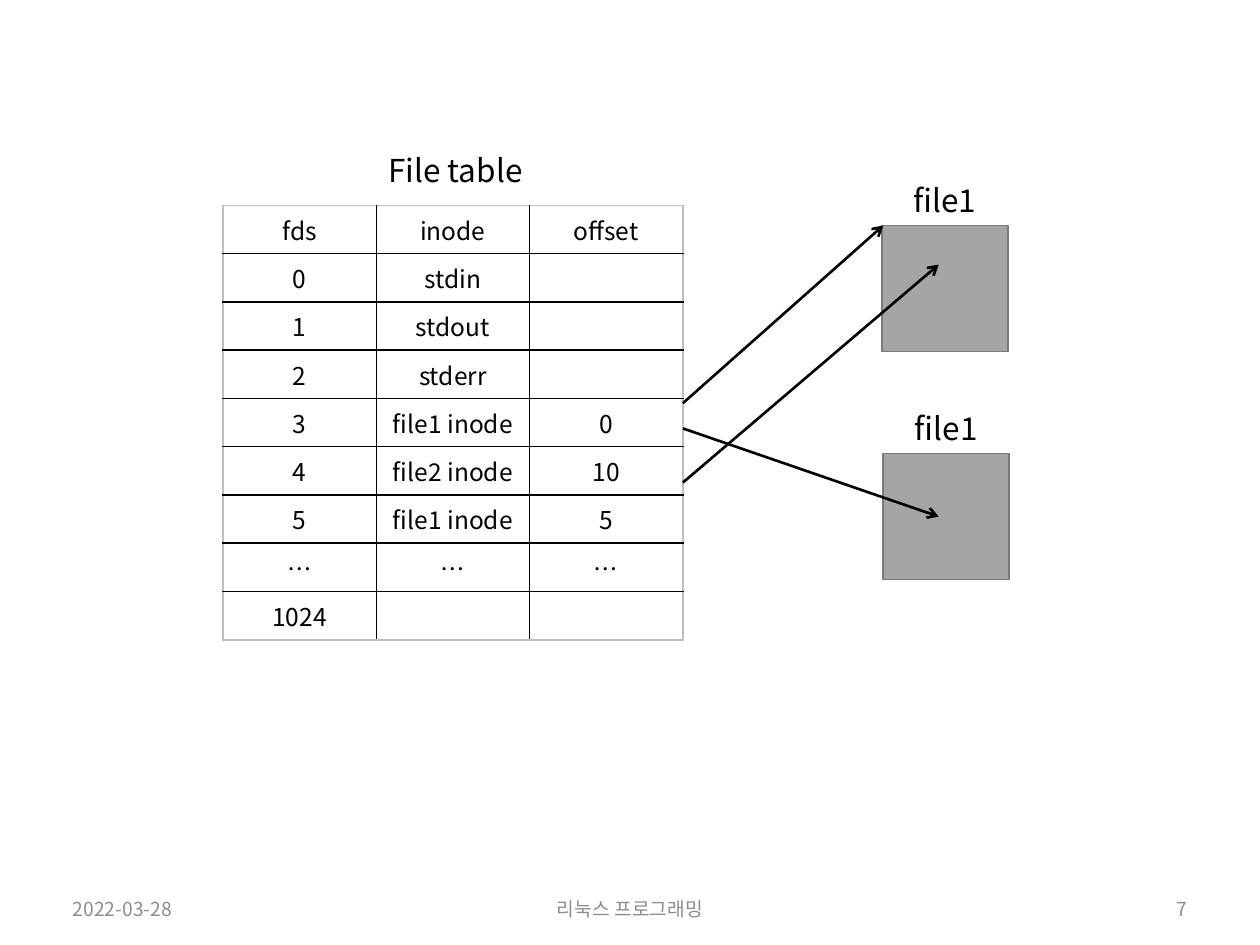
from pptx import Presentation
from pptx.dml.color import RGBColor
from pptx.enum.shapes import MSO_CONNECTOR as CONN, MSO_SHAPE as SHAPE
from pptx.enum.text import MSO_ANCHOR as ANCHOR, MSO_AUTO_SIZE as AUTO, PP_ALIGN as ALIGN
from pptx.oxml.ns import qn
from pptx.util import Inches, Pt
from lxml.etree import SubElement


def rgb(value):
    return RGBColor.from_string(value)


class SlideBuilder:
    font = "Noto Sans CJK KR"
    ink = "000000"
    muted = "8C8C8C"
    box_fill = "A5A5A5"
    box_line = "7A7A7A"
    frame = "BFBFBF"

    def __init__(self, slide):
        self.slide = slide

    def add_text(self, p, text, size, color, align):
        p.alignment = align
        if not text:
            SubElement(p._p, qn("a:endParaRPr"), sz=str(size * 100))
            return
        r = p.add_run()
        r.text = text
        r.font.size = Pt(size)
        r.font.name = self.font
        r.font.color.rgb = rgb(color)
        SubElement(r._r.get_or_add_rPr(), qn("a:ea"), typeface=self.font)

    def footer(self, text, x, w, align):
        sp = self.slide.shapes.add_textbox(Inches(x), Inches(7.07), Inches(w), Inches(0.28))
        tf = sp.text_frame
        tf.word_wrap = True
        tf.vertical_anchor = ANCHOR.MIDDLE
        self.add_text(tf.paragraphs[0], text, 11, self.muted, align)

    def label(self, text, x, y, w):
        sp = self.slide.shapes.add_textbox(Inches(x), Inches(y), Inches(w), Inches(0.4))
        tf = sp.text_frame
        tf.word_wrap = False
        tf.auto_size = AUTO.SHAPE_TO_FIT_TEXT
        self.add_text(tf.paragraphs[0], text, 18, self.ink, ALIGN.CENTER)

    def box(self, x, y, size):
        sp = self.slide.shapes.add_shape(
            SHAPE.RECTANGLE, Inches(x), Inches(y), Inches(size), Inches(size))
        sp.shadow.inherit = False
        sp.fill.solid()
        sp.fill.fore_color.rgb = rgb(self.box_fill)
        sp.line.color.rgb = rgb(self.box_line)
        sp.line.width = Pt(1)

    def arrow(self, start, end):
        points = [Inches(v) for v in (*start, *end)]
        line = self.slide.shapes.add_connector(CONN.STRAIGHT, *points)
        line.line.color.rgb = rgb(self.ink)
        line.line.width = Pt(1.5)
        SubElement(line.line._get_or_add_ln(), qn("a:tailEnd"), type="arrow")
        SubElement(line._element.spPr, qn("a:effectLst"))

    def border(self, cell, side, color):
        ln = SubElement(cell._tc.get_or_add_tcPr(), qn(f"a:ln{side}"), w=str(Pt(1)))
        fill = SubElement(ln, qn("a:solidFill"))
        SubElement(fill, qn("a:srgbClr"), val=color)

    def table(self, rows, x, y, w, h):
        n_rows, n_cols = len(rows), len(rows[0])
        table = self.slide.shapes.add_table(
            n_rows, n_cols, Inches(x), Inches(y), Inches(w), Inches(h)).table
        table.first_row = False
        table.horz_banding = False
        for i, row in enumerate(rows):
            for j, text in enumerate(row):
                cell = table.cell(i, j)
                outer = {"L": j == 0, "R": j == n_cols - 1, "T": i == 0, "B": i == n_rows - 1}
                for side, is_outer in outer.items():
                    self.border(cell, side, self.frame if is_outer else self.ink)
                cell.fill.background()
                self.add_text(cell.text_frame.paragraphs[0], text, 14, self.ink, ALIGN.CENTER)


FILE_TABLE = [
    ("fds", "inode", "offset"),
    ("0", "stdin", ""),
    ("1", "stdout", ""),
    ("2", "stderr", ""),
    ("3", "file1 inode", "0"),
    ("4", "file2 inode", "10"),
    ("5", "file1 inode", "5"),
    ("…", "…", "…"),
    ("1024", "", ""),
]
FILES = [("file1", 7, 1.79), ("file1", 7.01, 3.6)]
ARROWS = [(3.2, (7.01, 1.79)), (3.83, (7.45, 2.1)), (3.4, (7.45, 4.1))]


def main():
    prs = Presentation()
    prs.slide_width, prs.slide_height = Inches(10), Inches(7.5)
    s = SlideBuilder(prs.slides.add_slide(prs.slide_layouts[6]))

    s.footer("2022-03-28", 0.48, 2.25, ALIGN.LEFT)
    s.footer("리눅스 프로그래밍", 3.31, 3.38, ALIGN.CENTER)
    s.footer("7", 7.27, 2.25, ALIGN.RIGHT)

    left, width = 1.77, 3.65
    s.table(FILE_TABLE, left, 1.63, width, 3.45)
    for name, x, y in FILES:
        s.box(x, y, 1)
        s.label(name, x + 0.15, y - 0.4, 0.7)
    s.label("File table", 2.97, 1.15, 1.29)
    for y, target in ARROWS:
        s.arrow((left + width, y), target)

    prs.save("out.pptx")


if __name__ == "__main__":
    main()
